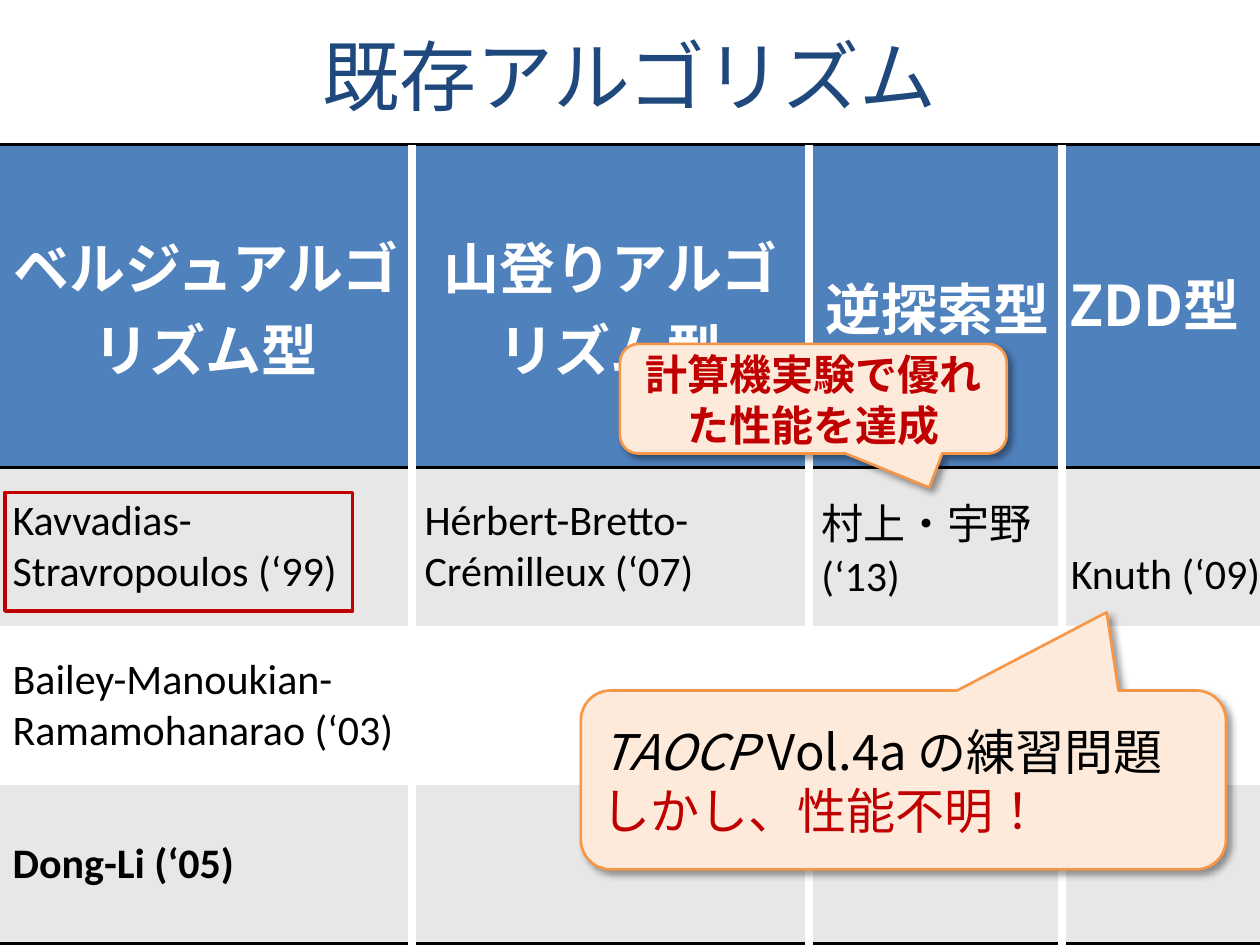
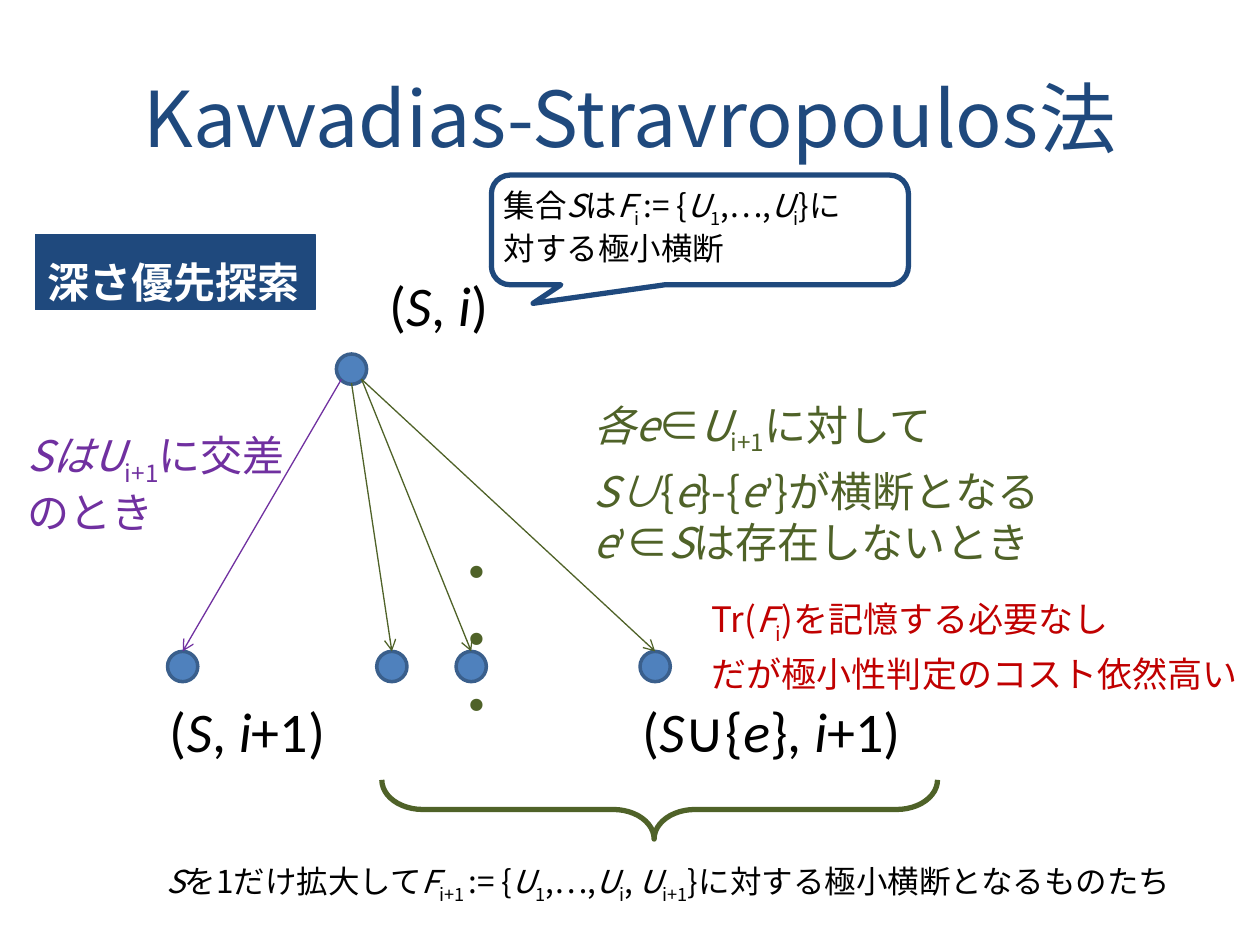
from dataclasses import dataclass
from typing import Optional

from lxml import etree
from pptx import Presentation
from pptx.dml.color import RGBColor
from pptx.enum.shapes import MSO_CONNECTOR, MSO_SHAPE
from pptx.enum.text import MSO_ANCHOR, PP_ALIGN
from pptx.oxml.ns import qn
from pptx.util import Inches, Pt

RECT = MSO_SHAPE.RECTANGLE
DISC = MSO_SHAPE.OVAL
CALL = MSO_SHAPE.ROUNDED_RECTANGULAR_CALLOUT
BRACE = MSO_SHAPE.LEFT_BRACE
LINE = MSO_CONNECTOR.STRAIGHT
LEFT, MID = PP_ALIGN.LEFT, PP_ALIGN.CENTER
TOP, CORE = MSO_ANCHOR.TOP, MSO_ANCHOR.MIDDLE

HEX = {
    "navy": "1F497D", "blue": "4F81BD", "rim": "3A5F8C", "white": "FFFFFF",
    "black": "000000", "grey": "E7E7E7", "peach": "FDEADA", "orange": "F79646",
    "red": "C00000", "green": "4F6228", "purple": "7030A0",
}
NOTO, CALI = "Noto Sans CJK JP", "Calibri"
PLAIN = "{2D5ABB26-0587-4C30-8999-92F81FD0307C}"  # table style without grid
NODE = 0.24

Place = tuple[float, float, float, float]
Point = tuple[float, float]


@dataclass
class Text:
    """Runs are split by |; a leading * is italic, _ subscript, ! red."""
    paras: list[str]
    size: float
    ink: str = "black"
    font: str = NOTO
    bold: bool = False
    align: PP_ALIGN = LEFT
    anchor: MSO_ANCHOR = TOP
    lead: Optional[float] = None
    gap: float = 0


@dataclass
class Form:
    kind: MSO_SHAPE
    at: Place
    fill: Optional[str]
    line: str
    width: float
    adj: tuple[float, ...] = ()
    text: Optional[Text] = None
    shade: bool = False


@dataclass
class Edge:
    start: Point
    end: Point
    ink: str
    width: float
    arrow: bool = False


# Shared helpers

def rgb(name: str) -> RGBColor:
    return RGBColor.from_string(HEX[name])


def node(parent, tag: str, **attrs):
    return etree.SubElement(parent, qn(tag), attrs)


def box(at: Place) -> list:
    return [Inches(n) for n in at]


def write(frame, text: Text) -> None:
    frame.word_wrap = True
    for row, line in enumerate(text.paras):
        para = frame.paragraphs[0] if row == 0 else frame.add_paragraph()
        para.alignment = text.align
        if text.lead:
            para.line_spacing = Pt(text.lead)
        if row and text.gap:
            para.space_before = Pt(text.gap)
        for part in line.split("|"):
            if part == "\n":
                para.add_line_break()
                continue
            run = para.add_run()
            run.text = part.lstrip("*_!")
            font = run.font
            font.name, font.size, font.bold = text.font, Pt(text.size), text.bold
            font.italic = part.startswith("*")
            font.color.rgb = rgb("red" if part.startswith("!") else text.ink)
            props = run._r.get_or_add_rPr()
            props.set("lang", "ja-JP")
            # Quotes count as East Asian text and would be drawn full width
            quote = "‘" in part or "’" in part
            node(props, "a:ea", typeface=CALI if quote else NOTO)
            if part.startswith("_"):
                props.set("baseline", "-25000")


def note(slide, at: Place, text: Text) -> None:
    frame = slide.shapes.add_textbox(*box(at)).text_frame
    frame.vertical_anchor = text.anchor
    write(frame, text)


def title(slide, top: float, words: str) -> None:
    note(slide, (0.5, top, 9, 1.25),
         Text([words], 44, "navy", align=MID, anchor=CORE))


def draw(slide, form: Form):
    shape = slide.shapes.add_shape(form.kind, *box(form.at))
    shape.shadow.inherit = False
    if form.fill:
        shape.fill.solid()
        shape.fill.fore_color.rgb = rgb(form.fill)
    else:
        shape.fill.background()
    shape.line.color.rgb = rgb(form.line)
    shape.line.width = Pt(form.width)
    for i, value in enumerate(form.adj):
        shape.adjustments[i] = value
    if form.shade:
        glow = node(shape.element.spPr.find(qn("a:effectLst")), "a:outerShdw",
                    blurRad=str(Pt(4)), dist=str(Pt(3)), dir="2700000",
                    algn="tl", rotWithShape="0")
        tint = node(glow, "a:srgbClr", val=HEX["black"])
        node(tint, "a:alpha", val="40000")
    if form.text:
        shape.text_frame.vertical_anchor = form.text.anchor
        write(shape.text_frame, form.text)
    return shape


def join(slide, edge: Edge) -> None:
    line = slide.shapes.add_connector(LINE, *box(edge.start + edge.end))
    line.line.color.rgb = rgb(edge.ink)
    line.line.width = Pt(edge.width)
    if edge.arrow:
        node(line.line._get_or_add_ln(), "a:tailEnd", type="arrow")
    node(line.element.spPr, "a:effectLst")


def rule(cell, side: str) -> None:
    line = etree.Element(qn(side), w=str(Pt(2)))
    node(node(line, "a:solidFill"), "a:srgbClr", val=HEX["black"])
    cell._tc.get_or_add_tcPr().insert(0, line)


# Slide 1: table of known algorithms

COLS = [3.27, 3.15, 2.05, 1.54]
ROWS = [2.56, 1.26, 1.26, 1.26]
GAPS = [3.27, 6.42, 8.43]
CELLS = [
    ["ベルジュアルゴリズム型", "山登りアルゴリズム型", "逆探索型", ""],
    ["Kavvadias-Stravropoulos (‘99)", "Hérbert-Bretto-Crémilleux (‘07)",
     "村上・宇野 |(‘13)", ""],
    ["Bailey-Manoukian-Ramamohanarao (‘03)", "", "", ""],
    ["Dong-Li (‘05)", "", "", ""],
]
FILLS = ["blue", "grey", "white", "grey"]


def grid(slide) -> None:
    frame = slide.shapes.add_table(len(ROWS), len(COLS),
                                   *box((0, 1.15, sum(COLS), sum(ROWS))))
    table = frame.table
    next(frame.element.iter(qn("a:tableStyleId"))).text = PLAIN
    for col, width in zip(table.columns, COLS):
        col.width = Inches(width)
    last = len(ROWS) - 1
    for r, words in enumerate(CELLS):
        table.rows[r].height = Inches(ROWS[r])
        for c, word in enumerate(words):
            cell = table.cell(r, c)
            cell.vertical_anchor = CORE
            cell.fill.solid()
            cell.fill.fore_color.rgb = rgb(FILLS[r])
            if r in (0, last):
                rule(cell, "a:lnB")
            if r == 0:
                rule(cell, "a:lnT")
            if word:
                write(cell.text_frame,
                      Text([word], 32, "white", bold=True, align=MID) if r == 0
                      else Text([word], 24, font=CALI, bold=r == last))


def known(slide) -> None:
    title(slide, -0.03, "既存アルゴリズム")
    grid(slide)
    note(slide, (8.39, 2.1, 1.66, 0.64), Text(["ZDD型"], 32, "white", bold=True))
    note(slide, (8.39, 4.3, 1.72, 0.5),
         Text(["Knuth (‘09)"], 24, font=CALI, align=MID))
    # White column gaps
    for x in GAPS:
        join(slide, Edge((x, 1.15), (x, 7.5), "white", 4.5))
    # Remarks
    draw(slide, Form(CALL, (4.61, 5.48, 5.12, 1.42), "peach", "orange", 1.5,
                     (0.315, -0.937, 0.167), shade=True,
                     text=Text(["*TAOCP| Vol.4a の練習問題", "!しかし、性能不明！"],
                               28, anchor=CORE, lead=34)))
    draw(slide, Form(RECT, (0.04, 3.91, 2.76, 0.94), None, "red", 2))
    draw(slide, Form(CALL, (4.92, 2.73, 3.07, 0.87), "peach", "orange", 1.5,
                     (0.3, 0.81, 0.17), shade=True,
                     text=Text(["計算機実験で優れた性能を達成"], 24, "red",
                               bold=True, align=MID, anchor=CORE, lead=29)))


# Slide 2: search tree

ROOT = (2.67, 2.81)
LEAF = 5.17
EDGES = [  # leaf left, start of the arrow, colour
    (2.99, (2.79, 3.04), "green"),
    (1.33, (2.71, 3.01), "purple"),
    (3.62, (2.87, 3.01), "green"),
    (5.08, (2.87, 3.01), "green"),
]
STATES = [
    ((2.99, 2.1, 1, 0.64), "(|*S|, |*i|)"),
    ((1.25, 5.48, 1.45, 0.64), "(|*S|, |*i|+1)"),
    ((5, 5.48, 2.41, 0.64), "(|*S|∪{|*e|}, |*i|+1)"),
]
NOTES = [
    ((0.12, 3.42, 2.39, 0.91),
     Text(["*SはU|_i+1|に交差|\n|のとき"], 24, "purple", lead=28.5)),
    ((3.9, 1.46, 3.33, 0.71),
     Text(["集合|*S|は|*F|_i |:= {|*U|_1|,…,|*U|_i|}に|\n|対する極小横断"],
          18, lead=22)),
    ((4.61, 3.17, 4.4, 1.39),
     Text(["*各e|∈|*U|_i+1|に対して",
           "*S∪|{|*e|}-{|*e|’|}が横断となる|\n|*e|’|∈|*S|は存在しないとき"],
          24, "green", lead=29, gap=5)),
    ((3.58, 4.14, 0.55, 0.6), Text(["∙∙∙"], 24, "green", lead=38)),
    ((1.22, 6.79, 8.84, 0.4),
     Text(["*S|を1だけ拡大して|*F|_i+1 |:= {|*U|_1|,…,|*U|_i|, |*U|_i+1|"
           "}に対する極小横断となるものたち"], 18)),
    ((5.55, 4.74, 4.41, 0.84),
     Text(["Tr(|*F|_i|)を記憶する必要なし", "だが極小性判定のコスト依然高い"],
          20, "red", lead=24, gap=4)),
]


def search(slide) -> None:
    title(slide, 0.3, "Kavvadias-Stravropoulos法")
    draw(slide, Form(RECT, (0.28, 1.86, 2.22, 0.6), "navy", "navy", 0.75,
                     text=Text(["深さ優先探索"], 24, "white", bold=True, lead=38)))
    # Nodes and arrows
    for x, y in [ROOT] + [(left, LEAF) for left, _, _ in EDGES]:
        draw(slide, Form(DISC, (x, y, NODE, NODE), "blue", "rim", 2))
    for left, start, ink in EDGES:
        join(slide, Edge(start, (left + NODE / 2, LEAF), ink, 0.75, True))
    for at, words in STATES:
        note(slide, at, Text([words], 32, font=CALI))
    # Callout, brace and notes
    draw(slide, Form(CALL, (3.9, 1.39, 3.31, 0.87), "white", "navy", 3,
                     (-0.4, 0.67, 0.17)))
    brace = draw(slide, Form(BRACE, (5, 4.22, 0.47, 4.41), None, "green", 3,
                             (0.69, 0.51)))
    brace.rotation = 270
    brace.element.spPr.find(qn("a:xfrm")).set("flipV", "1")
    for at, text in NOTES:
        note(slide, at, text)


def main() -> None:
    deck = Presentation()
    deck.slide_width, deck.slide_height = Inches(10), Inches(7.5)
    for build in (known, search):
        build(deck.slides.add_slide(deck.slide_layouts[6]))
    deck.save("out.pptx")


if __name__ == "__main__":
    main()
